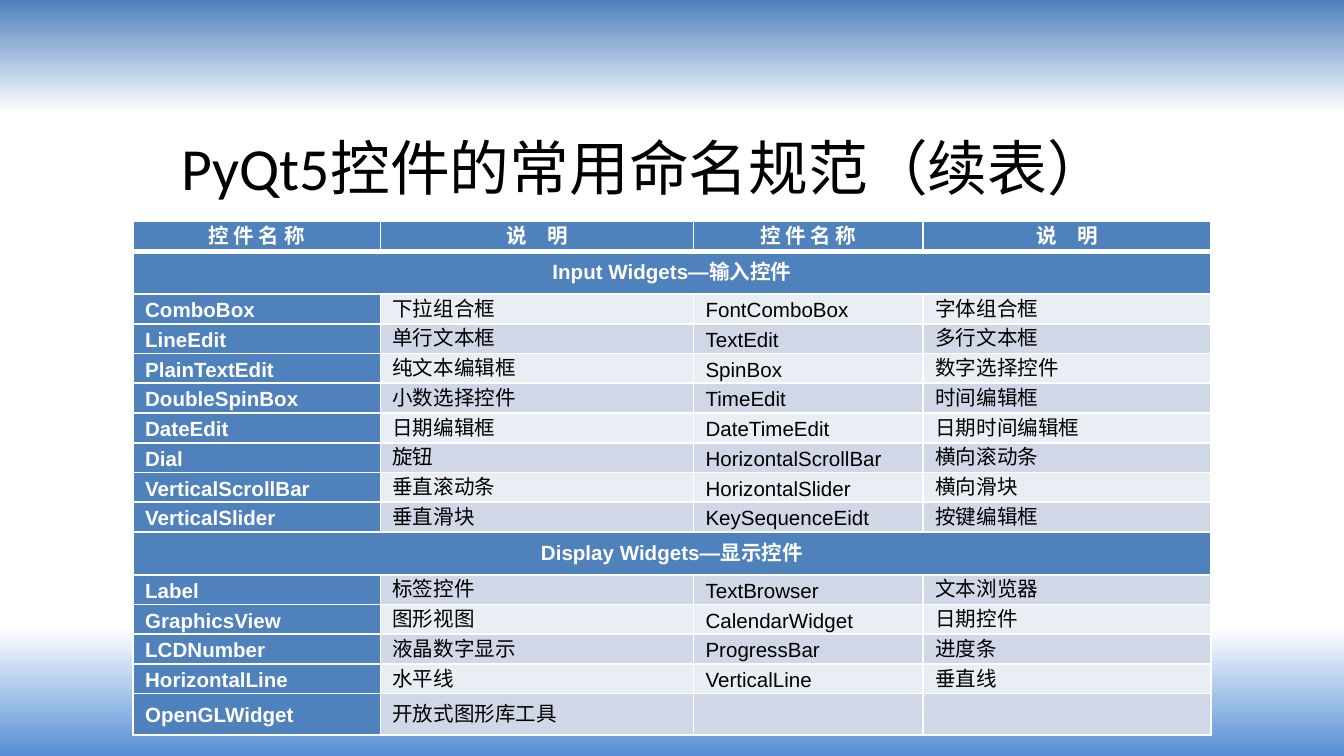
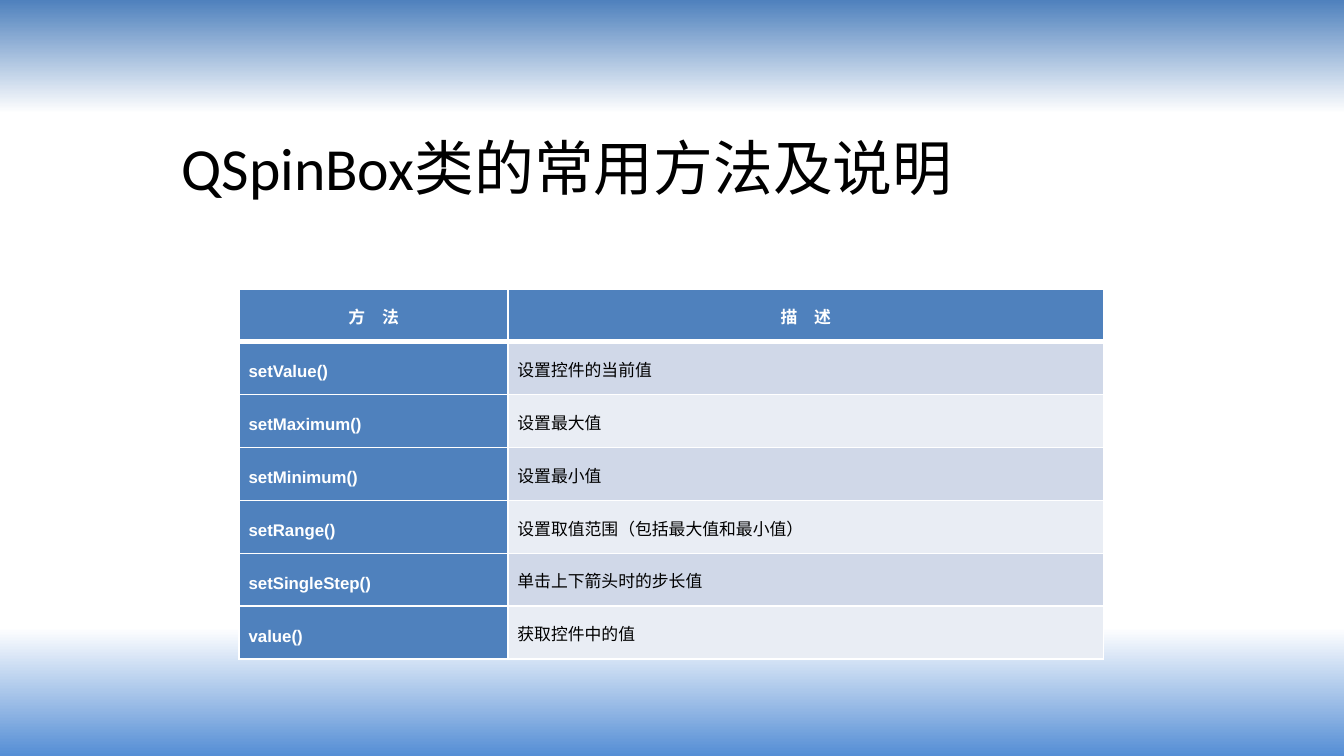
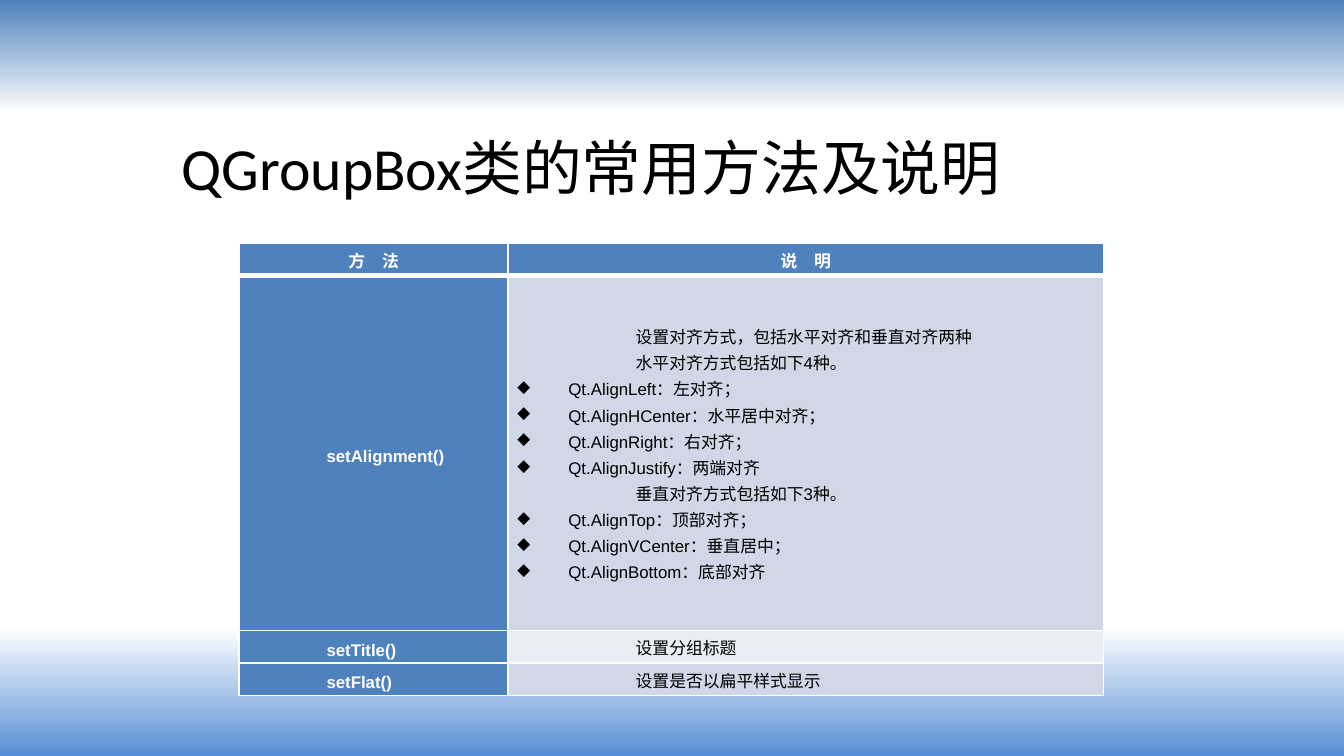
from copy import deepcopy

from lxml.etree import SubElement
from pptx import Presentation
from pptx.dml.color import RGBColor
from pptx.enum.text import MSO_ANCHOR, PP_ALIGN
from pptx.oxml.ns import qn
from pptx.util import Inches, Pt

BLUE = RGBColor(0x4F, 0x81, 0xBD)
SKY = RGBColor(0x55, 0x8E, 0xD5)
BAND = RGBColor(0xD0, 0xD8, 0xE8)
PALE = RGBColor(0xE9, 0xED, 0xF4)
WHITE = RGBColor(0xFF, 0xFF, 0xFF)
BLACK = RGBColor(0, 0, 0)

BACKDROP = [(0, BLUE), (0.15, WHITE), (0.83, WHITE), (1, SKY)]
METHOD_COLS = (20, 44.3)

WIDGETS = [
    ("控 件 名 称", "说　明", "控 件 名 称", "说　明"),
    ("Input Widgets—输入控件",),
    ("ComboBox", "下拉组合框", "FontComboBox", "字体组合框"),
    ("LineEdit", "单行文本框", "TextEdit", "多行文本框"),
    ("PlainTextEdit", "纯文本编辑框", "SpinBox", "数字选择控件"),
    ("DoubleSpinBox", "小数选择控件", "TimeEdit", "时间编辑框"),
    ("DateEdit", "日期编辑框", "DateTimeEdit", "日期时间编辑框"),
    ("Dial", "旋钮", "HorizontalScrollBar", "横向滚动条"),
    ("VerticalScrollBar", "垂直滚动条", "HorizontalSlider", "横向滑块"),
    ("VerticalSlider", "垂直滑块", "KeySequenceEidt", "按键编辑框"),
    ("Display Widgets—显示控件",),
    ("Label", "标签控件", "TextBrowser", "文本浏览器"),
    ("GraphicsView", "图形视图", "CalendarWidget", "日期控件"),
    ("LCDNumber", "液晶数字显示", "ProgressBar", "进度条"),
    ("HorizontalLine", "水平线", "VerticalLine", "垂直线"),
    ("OpenGLWidget", "开放式图形库工具", "", ""),
]

SPIN_METHODS = [
    ("方　法", "描　述"),
    ("setValue()", "设置控件的当前值"),
    ("setMaximum()", "设置最大值"),
    ("setMinimum()", "设置最小值"),
    ("setRange()", "设置取值范围（包括最大值和最小值）"),
    ("setSingleStep()", "单击上下箭头时的步长值"),
    ("value()", "获取控件中的值"),
]

ALIGNMENT = """设置对齐方式，包括水平对齐和垂直对齐两种
水平对齐方式包括如下4种。
◆Qt.AlignLeft：左对齐；
◆Qt.AlignHCenter：水平居中对齐；
◆Qt.AlignRight：右对齐；
◆Qt.AlignJustify：两端对齐
垂直对齐方式包括如下3种。
◆Qt.AlignTop：顶部对齐；
◆Qt.AlignVCenter：垂直居中；
◆Qt.AlignBottom：底部对齐"""

GROUP_METHODS = [
    ("方　法", "说　明"),
    ("setAlignment()", ALIGNMENT),
    ("setTitle()", "设置分组标题"),
    ("setFlat()", "设置是否以扁平样式显示"),
]


class Deck:
    def __init__(self):
        self.prs = Presentation()
        self.prs.slide_width = Inches(10)
        self.prs.slide_height = Inches(5.625)
        self.s = None
        self.backdrop()

    def x(self, percent):
        return round(self.prs.slide_width * percent / 100)

    def y(self, percent):
        return round(self.prs.slide_height * percent / 100)

    def backdrop(self):
        master = self.prs.slide_master
        fill = master.background.fill
        fill.gradient()
        fill.gradient_angle = 270
        stops = master.element.find(".//" + qn("a:gsLst"))
        for _ in range(len(BACKDROP) - len(stops)):
            stops.append(deepcopy(stops[0]))
        for stop, (position, color) in zip(fill.gradient_stops, BACKDROP):
            stop.position = position
            stop.color.rgb = color

    def slide(self, title, width):
        self.s = self.prs.slides.add_slide(self.prs.slide_layouts[5])
        sp = self.s.shapes.title
        sp.left, sp.top = self.x(12.5), self.y(16)
        sp.width, sp.height = self.x(width), self.y(12)
        tf = sp.text_frame
        tf.word_wrap = True
        tf.margin_right = 0
        tf.vertical_anchor = MSO_ANCHOR.MIDDLE
        p = tf.paragraphs[0]
        p.alignment = PP_ALIGN.LEFT
        self.run(p, title, "Calibri", 32, BLACK, False)

    def run(self, p, text, font, size, color, bold):
        r = p.add_run()
        r.text = text
        r.font.name = font
        r.font.size = Pt(size)
        r.font.bold = bold
        r.font.color.rgb = color

    def borders(self, cell, top, bottom):
        tcPr = cell._tc.get_or_add_tcPr()
        for side, width in (("L", 1), ("R", 1), ("T", top), ("B", bottom)):
            ln = SubElement(tcPr, qn("a:ln" + side), w=str(Pt(width)))
            fill = SubElement(ln, qn("a:solidFill"))
            SubElement(fill, qn("a:srgbClr"), val=str(WHITE))

    def indent(self, p, left, bullet):
        pPr = p._p.get_or_add_pPr()
        pPr.set("marL", str(self.x(left)))
        pPr.set("indent", str(-self.x(left) if bullet else 0))
        if bullet:
            SubElement(pPr, qn("a:buChar"), char=bullet)

    def cell(self, cell, text, size, inset, fill, strong, centred, left):
        cell.vertical_anchor = MSO_ANCHOR.MIDDLE
        cell.margin_left = cell.margin_right = self.x(inset[0])
        cell.margin_top = cell.margin_bottom = self.y(inset[1])
        cell.fill.solid()
        cell.fill.fore_color.rgb = fill
        tf = cell.text_frame
        for i, line in enumerate(text.split("\n")):
            p = tf.add_paragraph() if i else tf.paragraphs[0]
            p.alignment = PP_ALIGN.CENTER if centred else PP_ALIGN.JUSTIFY
            p.line_spacing = Pt(14)
            bullet = "◆" if line.startswith("◆") else ""
            self.indent(p, 3.8 if bullet else left, bullet)
            if line:
                self.run(p, line.removeprefix("◆"), "Arial", size,
                         WHITE if strong else BLACK, strong)

    def table(self, rows, left, top, cols, heights, size, inset, indents=None):
        indents = indents or [0] * len(cols)
        frame = self.s.shapes.add_table(
            len(rows), len(cols), self.x(left), self.y(top),
            self.x(sum(cols)), self.y(sum(heights)))
        tbl = frame.table
        for column, width in zip(tbl.columns, cols):
            column.width = self.x(width)
        for i, texts in enumerate(rows):
            tbl.rows[i].height = self.y(heights[i])
            for cell in tbl.rows[i].cells:
                self.borders(cell, 3 if i == 1 else 1, 3 if i == 0 else 1)
            group = len(texts) == 1
            if group:
                tbl.cell(i, 0).merge(tbl.cell(i, len(cols) - 1))
            for j, text in enumerate(texts):
                strong = i == 0 or j == 0
                centred = i == 0 or group
                fill = BLUE if strong else BAND if i % 2 else PALE
                self.cell(tbl.cell(i, j), text, size,
                          (1.2, 1.1) if group else (inset, 0),
                          fill, strong, centred, 0 if centred else indents[j])


def main():
    deck = Deck()

    deck.slide("PyQt5控件的常用命名规范（续表）", 75)
    deck.table(WIDGETS, 9.9, 29.3, (18.4, 23.3, 17.1, 21.4),
               [3.94] * len(WIDGETS), 11, 0.9)

    deck.slide("QSpinBox类的常用方法及说明", 60.8)
    deck.table(SPIN_METHODS, 17.8, 38.2, METHOD_COLS,
               [7] * len(SPIN_METHODS), 9, 0.7)

    deck.slide("QGroupBox类的常用方法及说明", 65.8)
    deck.table(GROUP_METHODS, 17.8, 32.2, METHOD_COLS,
               (4.3, 46.9, 4.3, 4.3), 9, 0.7, (5.8, 8.8))

    deck.prs.save("out.pptx")


if __name__ == "__main__":
    main()
